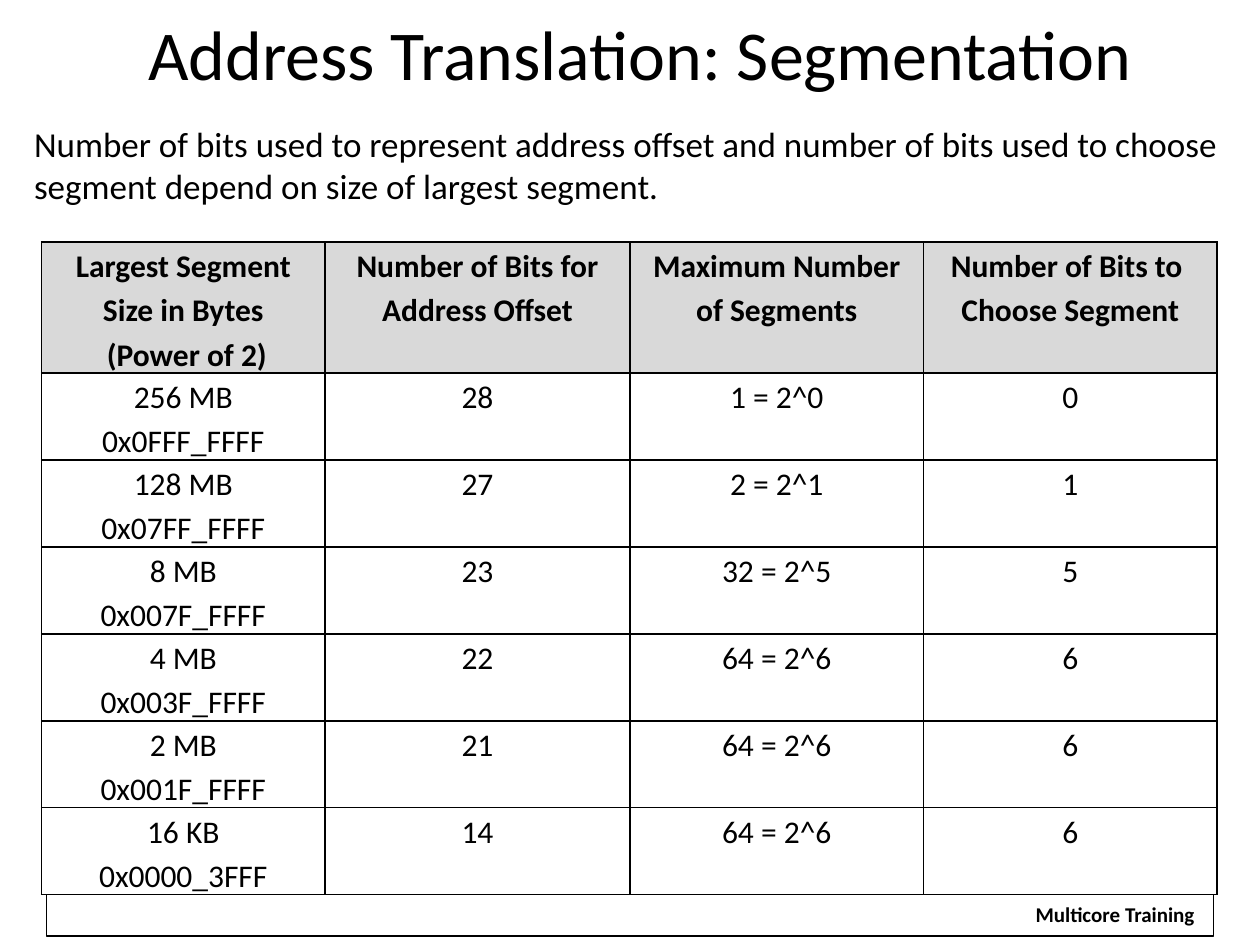
from lxml.etree import SubElement
from pptx import Presentation
from pptx.dml.color import RGBColor
from pptx.enum.shapes import MSO_SHAPE as Shape
from pptx.enum.text import MSO_ANCHOR as Anchor, MSO_AUTO_SIZE as Fit, PP_ALIGN as Align
from pptx.oxml.ns import qn
from pptx.util import Inches, Pt

COLORS = {"ink": "000000", "paper": "FFFFFF", "header": "D9D9D9"}
TITLE = "Address Translation: Segmentation"
INTRO = ("Number of bits used to represent address offset and number of bits "
         "used to choose segment depend on size of largest segment.")
FOOTER = "Multicore Training"
HEADERS = [
    ["Largest Segment Size in Bytes", " (Power of 2)"],
    ["Number of Bits for Address Offset"],
    ["Maximum Number", "of Segments"],
    ["Number of Bits to ", "Choose Segment"],
]
SEGMENTS = [
    ("256 MB\n0x0FFF_FFFF", 28, "1 = 2^0", 0),
    ("128 MB\n0x07FF_FFFF", 27, "2 = 2^1", 1),
    ("8 MB\n0x007F_FFFF", 23, "32 = 2^5", 5),
    ("4 MB\n0x003F_FFFF", 22, "64 = 2^6", 6),
    ("2 MB\n0x001F_FFFF", 21, "64 = 2^6", 6),
    ("16 KB\n0x0000_3FFF", 14, "64 = 2^6", 6),
]
COLUMN_WIDTHS = [2.25, 2.42, 2.33, 2.33]
HEADER_HEIGHT, SEGMENT_HEIGHT = 1.04, 0.69
TABLE_LEFT, TABLE_TOP = 0.33, 1.92


def color(name):
    return RGBColor.from_string(COLORS[name])


def apply(target, formats):
    for name, value in formats.items():
        setattr(target, name, value)


def place(box, left, top, width, height):
    apply(box, {"left": Inches(left), "top": Inches(top),
                "width": Inches(width), "height": Inches(height)})


def write(frame, lines, size, bold=False, **formats):
    for index, line in enumerate(lines):
        para = frame.paragraphs[0] if index == 0 else frame.add_paragraph()
        para.text = line
        apply(para, formats)
        for span in para.runs:
            apply(span.font, {"name": "Calibri", "size": Pt(size), "bold": bold})
            span.font.color.rgb = color("ink")


def add_borders(cell):
    properties = cell._tc.get_or_add_tcPr()
    for side in ("a:lnL", "a:lnR", "a:lnT", "a:lnB"):
        line = SubElement(properties, qn(side), w=str(Pt(1)))
        fill = SubElement(line, qn("a:solidFill"))
        SubElement(fill, qn("a:srgbClr"), val=COLORS["ink"])


def add_footer(page):
    bar = page.shapes.add_shape(Shape.RECTANGLE, 0, 0, 0, 0)
    place(bar, 0.37, 7.08, 9.26, 0.35)
    bar.shadow.inherit = False
    bar.fill.background()
    bar.line.color.rgb = color("ink")
    bar.line.width = Pt(0.75)
    label = page.shapes.add_textbox(0, 0, 0, 0)
    place(label, 8.11, 7.11, 1.48, 0.3)
    label.fill.solid()
    label.fill.fore_color.rgb = color("paper")
    label.text_frame.word_wrap = False
    write(label.text_frame, [FOOTER], 12, True, alignment=Align.CENTER)


def add_segment_table(page):
    rows = [HEADERS] + [[[str(value)] for value in segment] for segment in SEGMENTS]
    heights = [HEADER_HEIGHT] + [SEGMENT_HEIGHT] * len(SEGMENTS)
    table = page.shapes.add_table(
        len(rows), len(COLUMN_WIDTHS), Inches(TABLE_LEFT), Inches(TABLE_TOP),
        Inches(sum(COLUMN_WIDTHS)), Inches(sum(heights))).table
    apply(table, {"first_row": False, "horz_banding": False})
    for column, width in zip(table.columns, COLUMN_WIDTHS):
        column.width = Inches(width)
    for index, (row, height, texts) in enumerate(zip(table.rows, heights, rows)):
        row.height = Inches(height)
        for cell, lines in zip(row.cells, texts):
            apply(cell, {"margin_left": Inches(0.07), "margin_right": Inches(0.07),
                         "margin_top": 0, "margin_bottom": 0})
            add_borders(cell)
            cell.fill.solid()
            cell.fill.fore_color.rgb = color("paper" if index else "header")
            write(cell.text_frame, lines, 18, index == 0,
                  alignment=Align.CENTER, line_spacing=1.15)


def main():
    deck = Presentation()
    apply(deck, {"slide_width": Inches(10), "slide_height": Inches(7.5)})
    page = deck.slides.add_slide(deck.slide_layouts[1])
    add_footer(page)
    add_segment_table(page)

    title, intro = page.shapes.title, page.placeholders[1]
    place(title, 0.58, 0, 9, 0.83)
    place(intro, 0.17, 0.92, 9.83, 0.77)
    for box, anchor in ((title, Anchor.MIDDLE), (intro, Anchor.TOP)):
        apply(box.text_frame, {"auto_size": Fit.NONE, "word_wrap": True,
                               "vertical_anchor": anchor})
    properties = intro.text_frame.paragraphs[0]._p.get_or_add_pPr()
    apply(properties, {"marL": 0, "indent": 0}) if hasattr(properties, "marL") else \
        [properties.set(name, "0") for name in ("marL", "indent")]
    SubElement(properties, qn("a:buNone"))
    write(title.text_frame, [TITLE], 40, alignment=Align.CENTER)
    write(intro.text_frame, [INTRO], 20, alignment=Align.LEFT, space_before=Pt(0))
    deck.save("out.pptx")


if __name__ == "__main__":
    main()
